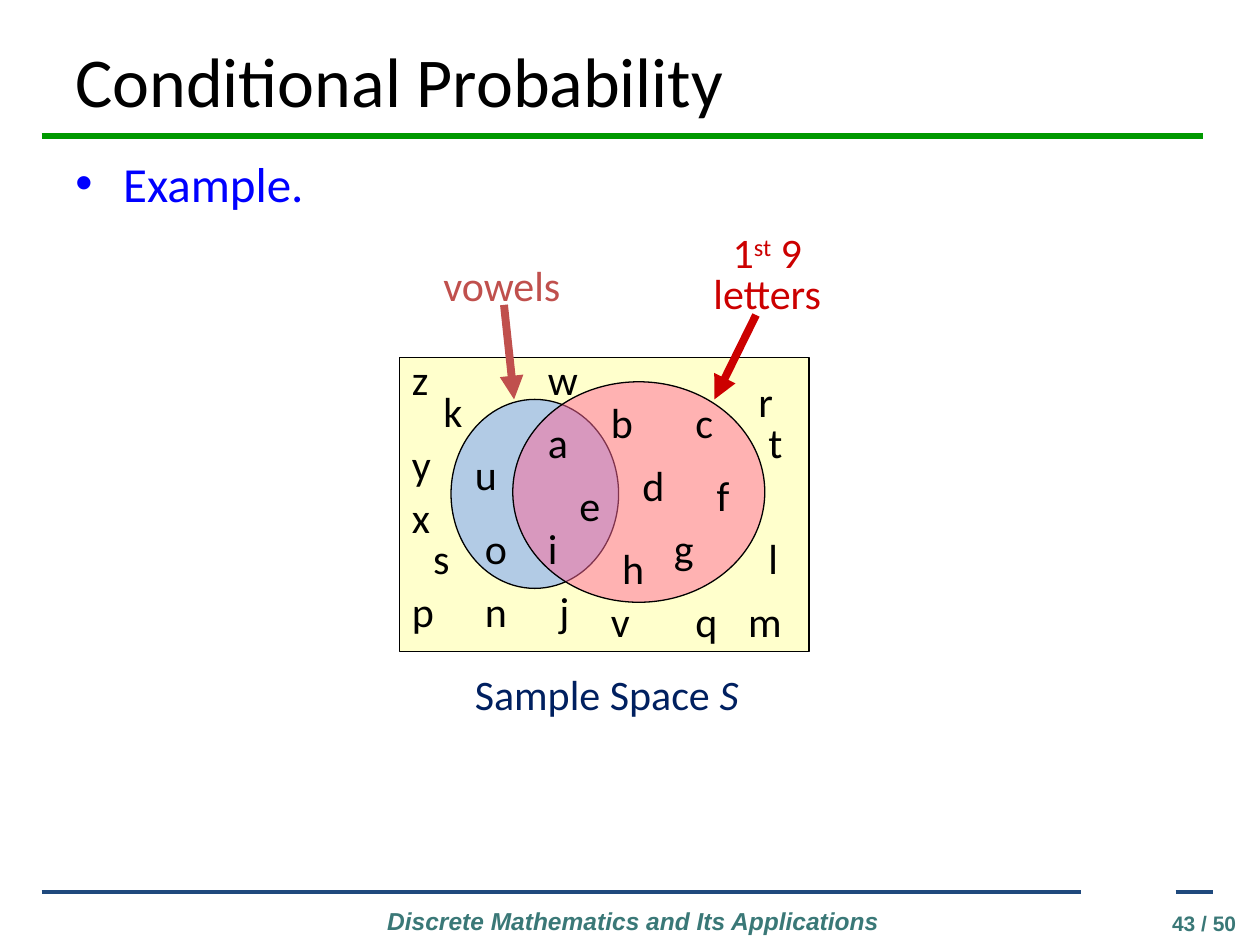
from lxml import etree
from pptx import Presentation
from pptx.dml.color import RGBColor
from pptx.enum.shapes import MSO_CONNECTOR, MSO_SHAPE
from pptx.enum.text import MSO_ANCHOR, MSO_AUTO_SIZE, PP_ALIGN
from pptx.oxml.ns import qn
from pptx.util import Inches, Pt

LEFT, CENTER, RIGHT = PP_ALIGN.LEFT, PP_ALIGN.CENTER, PP_ALIGN.RIGHT
TOP, MIDDLE = MSO_ANCHOR.TOP, MSO_ANCHOR.MIDDLE
FIT, FIXED = MSO_AUTO_SIZE.SHAPE_TO_FIT_TEXT, MSO_AUTO_SIZE.NONE
RECTANGLE, OVAL, STRAIGHT = MSO_SHAPE.RECTANGLE, MSO_SHAPE.OVAL, MSO_CONNECTOR.STRAIGHT

COLORS = {
    "black": "000000", "green": "009900", "navy": "1F497D", "teal": "3A7877",
    "blue": "0000FF", "cream": "FFFFCC", "vowel_set": "6699FF",
    "first_nine_set": "FF6699", "red": "CC0000", "brick": "C0504D",
    "caption": "002060",
}

# start x, end x, y, colour, width in points
RULES = [
    (0.33, 9.55, 1.08, "green", 3),
    (0.33, 8.58, 7.08, "navy", 2.25),
    (9.33, 9.63, 7.08, "navy", 2.25),
]

# shape, (left, top, width, height), fill, opacity in percent
REGIONS = [
    (RECTANGLE, (3.17, 2.84, 3.25, 2.33), "cream", 100),
    (OVAL, (3.58, 3.17, 1.33, 1.5), "vowel_set", 50),
    (OVAL, (4.07, 3.03, 2, 1.75), "first_nine_set", 50),
]

# letter, left, top, width
LETTERS = [
    ("a", 4.25, 3.26, 0.36), ("b", 4.75, 3.1, 0.37), ("c", 5.42, 3.1, 0.34),
    ("d", 5, 3.6, 0.37), ("e", 4.5, 3.76, 0.36), ("f", 5.59, 3.68, 0.3),
    ("g", 5.25, 4.1, 0.35), ("h", 4.84, 4.26, 0.37), ("i", 4.25, 4.1, 0.27),
    ("j", 4.34, 4.6, 0.28), ("k", 3.42, 3.01, 0.35), ("l", 6, 4.18, 0.27),
    ("m", 5.84, 4.68, 0.46), ("n", 3.75, 4.6, 0.37), ("o", 3.75, 4.1, 0.37),
    ("p", 3.17, 4.6, 0.37), ("q", 5.42, 4.68, 0.37), ("r", 5.92, 2.93, 0.31),
    ("s", 3.34, 4.18, 0.33), ("t", 6, 3.26, 0.31), ("u", 3.67, 3.51, 0.37),
    ("v", 4.75, 4.68, 0.35), ("w", 4.25, 2.76, 0.44), ("x", 3.17, 3.85, 0.34),
    ("y", 3.17, 3.43, 0.35), ("z", 3.17, 2.76, 0.33),
]
LETTER_HEIGHT = 0.5

# start, end, colour
POINTERS = [((6, 2.5), (5.67, 3.17), "red"), ((4, 2.42), (4.08, 3.17), "brick")]

# runs as (text, style), box, format
SET_LABELS = [
    ([("1", ""), ("st", "super"), (" 9\nletters", "")], (5.56, 1.83, 1.06, 0.74),
     {"color": "red", "align": CENTER, "spacing": 0.8}),
    ("vowels", (3.42, 2.01, 1.14, 0.5), {"color": "brick"}),
    ([("Sample Space ", ""), ("S", "italic")], (3.67, 5.26, 2.29, 0.5),
     {"color": "caption"}),
]


def rgb(name):
    return RGBColor.from_string(COLORS[name])


def add_text(shapes, content, box, size=24, color="black", font="Calibri", bold=False,
             italic=False, align=LEFT, anchor=TOP, spacing=None, wrap=False,
             auto_size=FIT, bullet=None):
    """Add a text box; content is a string or a list of (text, style) runs."""
    frame = shapes.add_textbox(*map(Inches, box)).text_frame
    frame.word_wrap, frame.auto_size, frame.vertical_anchor = wrap, auto_size, anchor
    paragraph = frame.paragraphs[0]
    if bullet:
        properties = paragraph._p.get_or_add_pPr()
        properties.set("marL", str(Inches(0.38)))
        properties.set("indent", str(-Inches(0.38)))
        etree.SubElement(properties, qn("a:buFont")).set("typeface", "Arial")
        etree.SubElement(properties, qn("a:buChar")).set("char", bullet)
    paragraph.alignment = align
    if spacing:
        paragraph.line_spacing = spacing
    for text, style in [(content, "")] if isinstance(content, str) else content:
        for index, line in enumerate(text.split("\n")):
            if index:
                paragraph.add_line_break()
            run = paragraph.add_run()
            run.text = line
            run.font.name, run.font.size = font, Pt(size)
            run.font.bold, run.font.italic = bold, italic or style == "italic"
            run.font.color.rgb = rgb(color)
            if style == "super":
                run.font._element.set("baseline", "30000")


def add_line(shapes, start, end, color, width, arrow=False):
    line = shapes.add_connector(STRAIGHT, *map(Inches, (*start, *end)))
    line.line.color.rgb, line.line.width = rgb(color), Pt(width)
    if arrow:
        etree.SubElement(line.line._get_or_add_ln(), qn("a:tailEnd")).set("type", "triangle")
    etree.SubElement(line._element.spPr, qn("a:effectLst"))


def add_region(shapes, kind, box, fill, opacity):
    region = shapes.add_shape(kind, *map(Inches, box))
    region.shadow.inherit = False
    region.fill.solid()
    region.fill.fore_color.rgb = rgb(fill)
    region.line.color.rgb, region.line.width = rgb("black"), Pt(0.75)
    if opacity < 100:
        color = region._element.spPr.find(qn("a:solidFill"))[0]
        etree.SubElement(color, qn("a:alpha")).set("val", str(opacity * 1000))


def main():
    presentation = Presentation()
    presentation.slide_width, presentation.slide_height = Inches(10), Inches(7.5)
    shapes = presentation.slides.add_slide(presentation.slide_layouts[6]).shapes

    for left, right, y, color, width in RULES:
        add_line(shapes, (left, y), (right, y), color, width)
    add_text(shapes, "Discrete Mathematics and Its Applications", (2.83, 7.14, 4.39, 0.34),
             size=14, color="teal", font="Arial", bold=True, italic=True,
             align=CENTER, wrap=True)
    add_text(shapes, "43 / 50", (8.89, 7.18, 1.02, 0.24), size=12, color="teal",
             font="Arial", bold=True, align=RIGHT, wrap=True, auto_size=FIXED)
    add_text(shapes, "Conditional Probability", (0.5, 0.25, 9, 0.77), size=40,
             anchor=MIDDLE, wrap=True)
    add_text(shapes, "Example.", (0.5, 1.17, 9, 0.57), size=28, color="blue",
             wrap=True, auto_size=FIXED, bullet="•")

    diagram = shapes.add_group_shape().shapes
    for region in REGIONS:
        add_region(diagram, *region)
    for letter, left, top, width in LETTERS:
        add_text(diagram, letter, (left, top, width, LETTER_HEIGHT))
    for start, end, color in POINTERS:
        add_line(diagram, start, end, color, 4.5, arrow=True)
    for content, box, text_format in SET_LABELS:
        add_text(diagram, content, box, **text_format)

    presentation.save("out.pptx")


if __name__ == "__main__":
    main()
